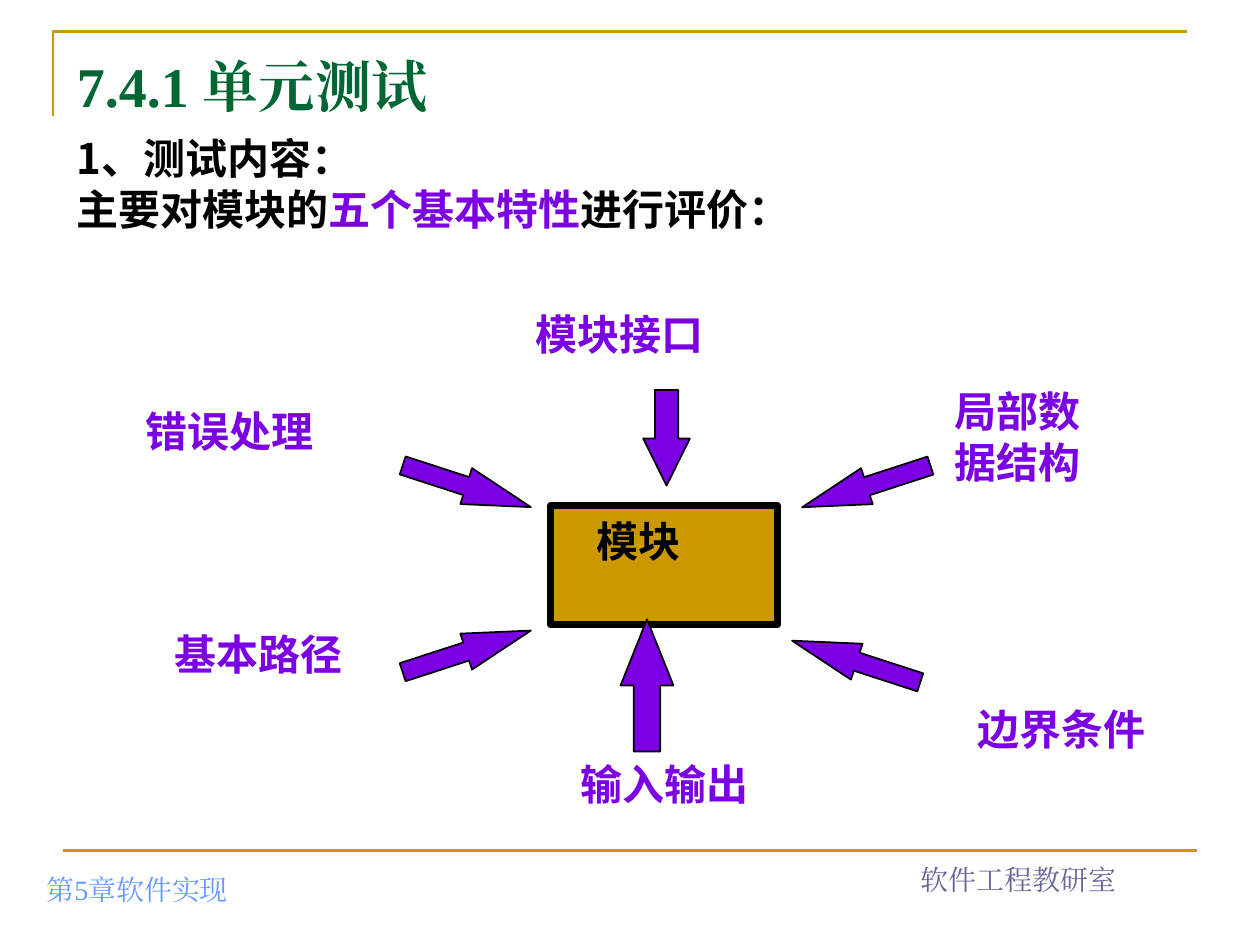
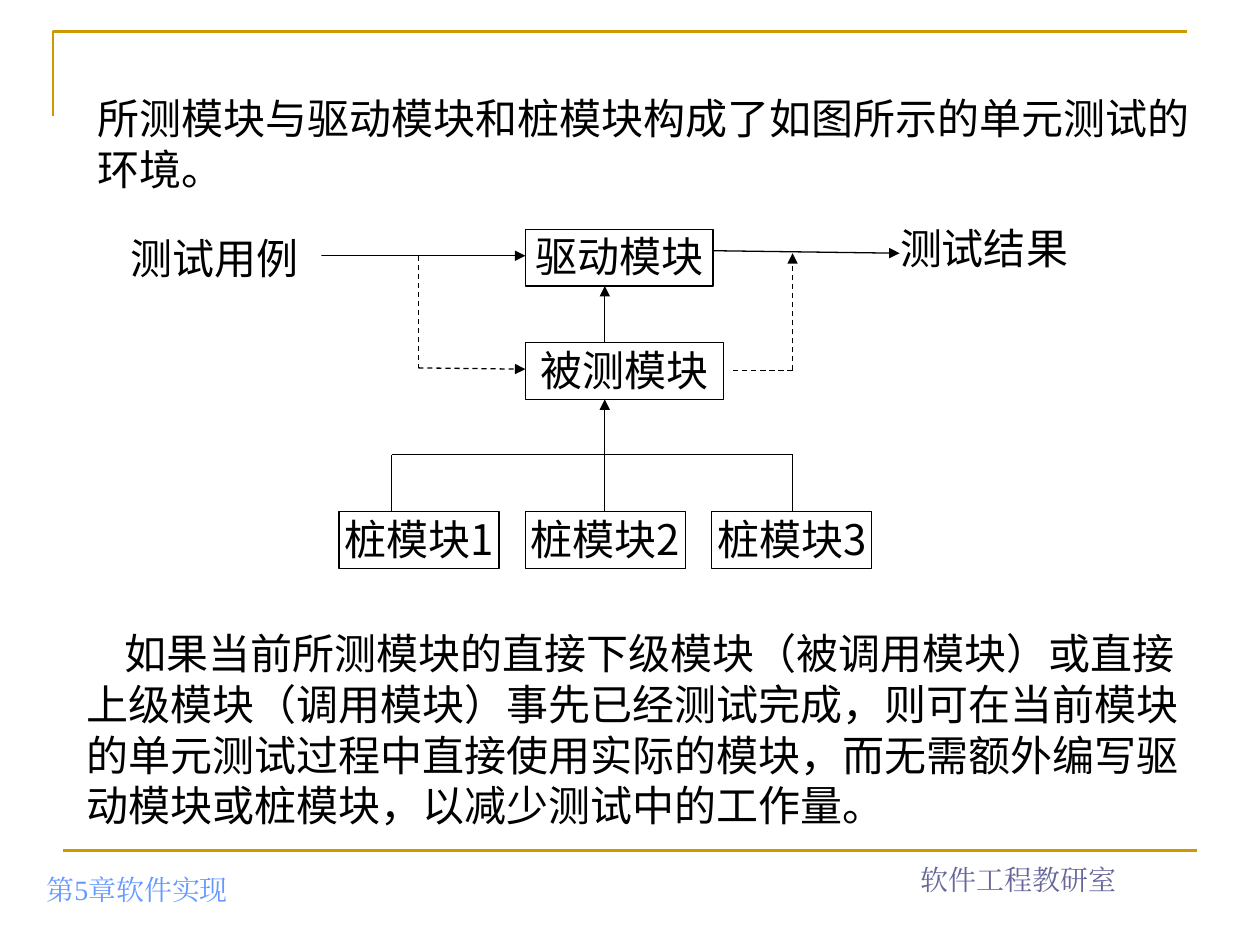
from dataclasses import dataclass

from lxml import etree
from pptx import Presentation
from pptx.dml.color import RGBColor
from pptx.enum import dml, shapes, text
from pptx.oxml import ns
from pptx.util import Inches, Pt


@dataclass(frozen=True)
class Theme:
    gold: str = "CC9900"
    green: str = "006633"
    purple: str = "7B00E4"
    black: str = "000000"
    white: str = "FFFFFF"
    sky: str = "6699FF"
    slate: str = "666699"
    serif: str = "Times New Roman"
    sans: str = "Noto Sans CJK SC"
    head: int = 32
    body: int = 24
    foot: int = 16
    pitch: int = 29


T = Theme()
LEFT, MID = text.PP_ALIGN.LEFT, text.PP_ALIGN.CENTER
TOP, LOW = text.MSO_ANCHOR.TOP, text.MSO_ANCHOR.BOTTOM


def rgb(code):
    return RGBColor.from_string(code)


def style(run, size=T.body, color=T.black, bold=False, face=T.sans):
    font = run.font
    font.size, font.bold, font.name = Pt(size), bold, face
    font.color.rgb = rgb(color)
    east = etree.SubElement(run._r.get_or_add_rPr(), ns.qn("a:ea"))
    east.set("typeface", face)


def write(shape, words, align=LEFT, anchor=TOP, pad=(0.1, 0.05), wrap=True, **look):
    """Fill a shape with text, one paragraph per line of words."""
    frame = shape.text_frame
    frame.text = words
    frame.auto_size = text.MSO_AUTO_SIZE.NONE
    frame.word_wrap, frame.vertical_anchor = wrap, anchor
    frame.margin_left = frame.margin_right = Inches(pad[0])
    frame.margin_top = frame.margin_bottom = Inches(pad[1])
    for para in frame.paragraphs:
        para.alignment = align
        if look.get("face", T.sans) == T.sans:
            para.line_spacing = Pt(T.pitch)
        for run in para.runs:
            style(run, **look)
    return frame


def label(slide, box, words, **look):
    return write(slide.shapes.add_textbox(*map(Inches, box)), words, **look)


def title(slide, box, words, **look):
    head = slide.shapes.title
    head.left, head.top, head.width, head.height = map(Inches, box)
    write(head, words, **look)


def block(slide, kind, box, fill, line=None, width=0.75):
    shape = slide.shapes.add_shape(kind, *map(Inches, box))
    shape.shadow.inherit = False
    shape.fill.solid()
    shape.fill.fore_color.rgb = rgb(fill)
    if line:
        shape.line.color.rgb = rgb(line)
        shape.line.width = Pt(width)
    else:
        shape.line.fill.background()
    return shape


def link(slide, ends, color=T.black, width=0.75, dash=False, tip=False):
    wire = slide.shapes.add_connector(shapes.MSO_CONNECTOR.STRAIGHT, *map(Inches, ends))
    wire.line.color.rgb = rgb(color)
    wire.line.width = Pt(width)
    if dash:
        wire.line.dash_style = dml.MSO_LINE.DASH
    if tip:
        etree.SubElement(wire.line._get_or_add_ln(), ns.qn("a:tailEnd")).set("type", "triangle")
    etree.SubElement(wire._element.spPr, ns.qn("a:effectLst"))


def page(deck):
    """Add a slide with the shared corner rule, base rule and footers."""
    slide = deck.slides.add_slide(deck.slide_layouts[5])
    pen = slide.shapes.build_freeform(Inches(0.42), Inches(0.92))
    pen.add_line_segments(
        [(Inches(0.42), Inches(0.25)), (Inches(9.42), Inches(0.25))], close=False)
    rule = pen.convert_to_shape()
    rule.shadow.inherit = False
    rule.fill.background()
    rule.line.color.rgb = rgb(T.gold)
    rule.line.width = Pt(1.5)
    link(slide, (0.5, 6.75, 9.5, 6.75), T.gold, 1.5)
    foot = dict(anchor=LOW, size=T.foot, face=T.serif)
    label(slide, (0.27, 6.74, 3.15, 0.5), "第5章软件实现", color=T.sky, **foot)
    label(slide, (6.5, 6.66, 3.17, 0.5), "软件工程教研室", align=MID, color=T.slate, **foot)
    return slide


def traits(slide, x, y):
    """Draw the module with the six arrows and labels around it."""
    block(slide, shapes.MSO_SHAPE.RECTANGLE, (x + 3.37, y + 2.01, 1.8, 0.95),
          T.gold, T.black, 4)
    label(slide, (x + 3.63, y + 2.04, 0.88, 0.5), "模块", align=MID, bold=True)
    names = [
        (0.06, 1.17, 1.63, 0.5, "错误处理"),
        (3.15, 0.4, 1.57, 0.5, "模块接口"),
        (6.48, 1.01, 1.23, 0.9, "局部数\n据结构"),
        (0.29, 2.94, 1.68, 0.5, "基本路径"),
        (3.51, 3.97, 1.57, 0.5, "输入输出"),
        (6.66, 3.53, 1.54, 0.5, "边界条件"),
    ]
    for dx, dy, w, h, name in names:
        label(slide, (x + dx, y + dy, w, h), name, wrap=False, color=T.purple, bold=True)
    arrows = [
        (2.17, 1.71, 1.07, 0.3, 18, 1.8),
        (3.91, 1.29, 0.76, 0.37, 90, 1.01),
        (5.34, 1.71, 1.07, 0.3, 162, 1.8),
        (2.17, 3.02, 1.07, 0.3, 342, 1.8),
        (5.26, 3.1, 1.07, 0.3, 198, 1.8),
        (3.61, 3.23, 1.05, 0.42, 270, 1.25),
    ]
    for dx, dy, w, h, turn, tip in arrows:
        arrow = block(slide, shapes.MSO_SHAPE.RIGHT_ARROW, (x + dx, y + dy, w, h),
                      T.purple, T.black, 1)
        arrow.rotation = turn
        arrow.adjustments[1] = tip


def node(slide, box, words, line=T.black):
    shape = block(slide, shapes.MSO_SHAPE.RECTANGLE, box, T.white, line)
    write(shape, words, align=MID, pad=(0.02, 0.01))


def harness(slide, x, y):
    """Draw the driver, the tested module, its stubs and the data flow."""
    node(slide, (x + 6.16, y + 0.05, 1.7, 0.44), "测试结果", None)
    node(slide, (x + 3.37, y + 1.02, 1.57, 0.45), "被测模块")
    node(slide, (x + 3.37, y + 0.12, 1.49, 0.45), "驱动模块")
    for i in range(3):
        node(slide, (x + 1.89 + 1.48 * i, y + 2.36, 1.27, 0.45), f"桩模块{i + 1}")
    wires = [
        (4.86, 0.29, 6.34, 0.31, False, True),
        (1.67, 0.33, 3.37, 0.33, False, True),
        (4, 1.02, 4, 0.57, False, True),
        (4, 2.36, 4, 1.47, False, True),
        (2.31, 2.36, 2.31, 1.91, False, False),
        (2.31, 1.91, 5.49, 1.91, False, False),
        (5.49, 2.36, 5.49, 1.91, False, False),
        (2.52, 0.33, 2.52, 1.22, True, False),
        (2.52, 1.22, 3.37, 1.23, True, True),
        (5.02, 1.24, 5.49, 1.24, True, False),
        (5.49, 1.24, 5.49, 0.31, True, True),
    ]
    for x1, y1, x2, y2, dash, tip in wires:
        link(slide, (x + x1, y + y1, x + x2, y + y2), dash=dash, tip=tip)
    node(slide, (x + 0.06, y + 0.13, 1.69, 0.38), "测试用例", None)


def content(deck):
    slide = page(deck)
    title(slide, (0.51, 0.36, 8.98, 0.63), "7.4.1 单元测试",
          size=T.head, color=T.green, bold=True, face=T.serif)
    frame = label(slide, (0.51, 1, 8.98, 0.9), "1、测试内容：\n主要对模块的", bold=True)
    for words, color in (("五个基本特性", T.purple), ("进行评价：", T.black)):
        run = frame.paragraphs[1].add_run()
        run.text = words
        style(run, color=color, bold=True)
    traits(slide, 1, 2)


def setting(deck):
    slide = page(deck)
    title(slide, (0.67, 0.68, 8.98, 0.87),
          "所测模块与驱动模块和桩模块构成了如图所示的单元测试的环境。")
    harness(slide, 0.8, 1.7)
    frame = label(
        slide, (0.59, 4.93, 8.98, 1.7),
        "如果当前所测模块的直接下级模块（被调用模块）或直接上级模块（调用模块）"
        "事先已经测试完成，则可在当前模块的单元测试过程中直接使用实际的模块，"
        "而无需额外编写驱动模块或桩模块，以减少测试中的工作量。")
    frame.paragraphs[0]._p.get_or_add_pPr().set("indent", str(Inches(0.3)))


def main():
    deck = Presentation()
    deck.slide_width, deck.slide_height = Inches(10), Inches(7.5)
    content(deck)
    setting(deck)
    deck.save("out.pptx")


if __name__ == "__main__":
    main()
